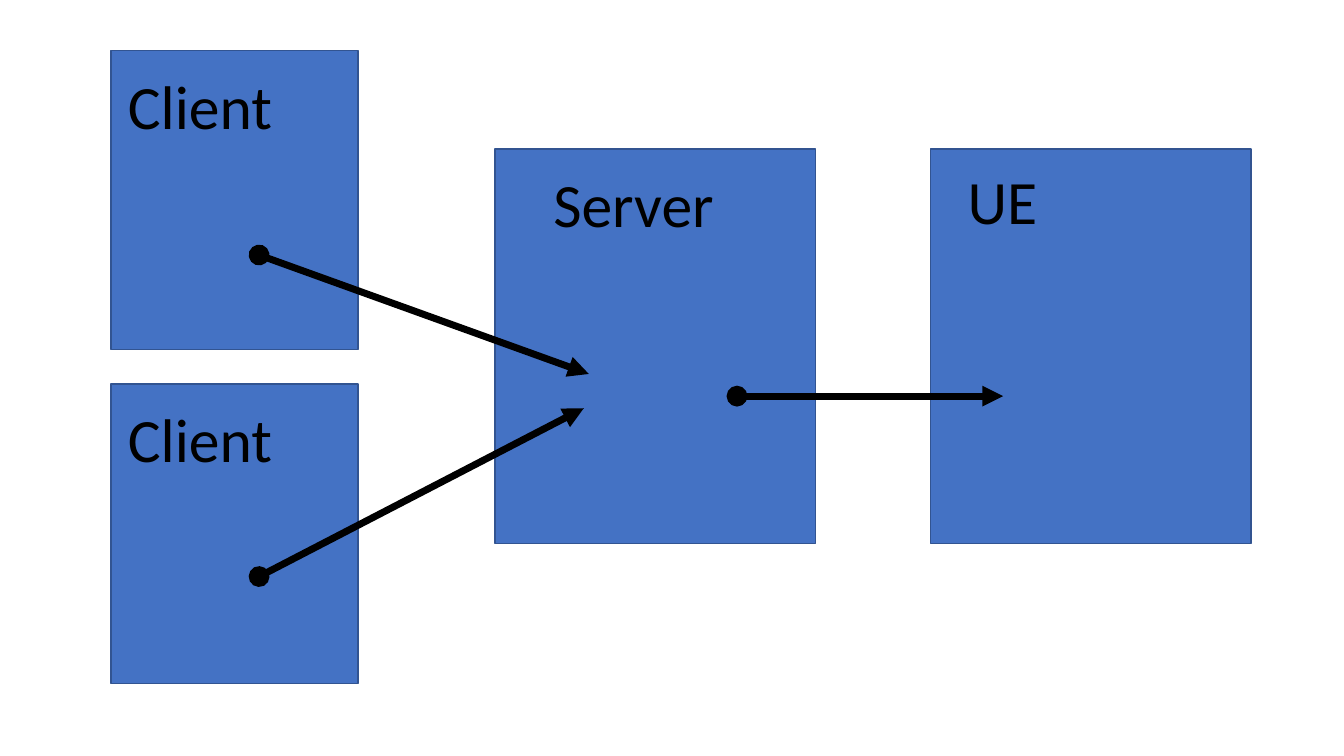
from lxml import etree
from pptx import Presentation
from pptx import util as u
from pptx.dml.color import RGBColor
from pptx.enum import shapes, text
from pptx.oxml.ns import qn


def px(n):
    return u.Emu(n * 9144)


def rgb(value):
    return RGBColor.from_string(value)


class Diagram:
    """Draws boxes, labels and arrows in one style on the current slide."""

    font, size = "Calibri", 44
    fill, edge, ink = "4472C4", "325491", "000000"

    def __init__(self, s):
        self.s = s

    def box(self, x, y, w, h):
        sp = self.s.shapes.add_shape(shapes.MSO_SHAPE.RECTANGLE, px(x), px(y), px(w), px(h))
        sp.shadow.inherit = False
        sp.fill.solid()
        sp.fill.fore_color.rgb = rgb(self.fill)
        sp.line.color.rgb = rgb(self.edge)
        sp.line.width = u.Pt(1)

    def label(self, x, y, words):
        sp = self.s.shapes.add_textbox(px(x), px(y), px(193), px(84))
        tf = sp.text_frame
        tf.word_wrap = True
        tf.auto_size = text.MSO_AUTO_SIZE.SHAPE_TO_FIT_TEXT
        r = tf.paragraphs[0].add_run()
        r.text = words
        r.font.name = self.font
        r.font.size = u.Pt(self.size)
        r.font.color.rgb = rgb(self.ink)

    def arrow(self, x1, y1, x2, y2):
        c = self.s.shapes.add_connector(
            shapes.MSO_CONNECTOR.STRAIGHT, px(x1), px(y1), px(x2), px(y2))
        c.line.color.rgb = rgb(self.ink)
        c.line.width = u.Pt(5)
        ln = c.line._get_or_add_ln()
        etree.SubElement(ln, qn("a:headEnd"), type="oval")
        etree.SubElement(ln, qn("a:tailEnd"), type="triangle")
        etree.SubElement(c._element.spPr, qn("a:effectLst"))


def main():
    prs = Presentation()
    prs.slide_width, prs.slide_height = px(1333), px(750)
    d = Diagram(prs.slides.add_slide(prs.slide_layouts[6]))

    client, node = (245, 297), (318, 391)
    parts = [
        ("Client", 110, 50, client, 7, 12),
        ("Client", 110, 381, client, 7, 12),
        ("Server", 491, 148, node, 48, 12),
        ("UE", 923, 148, node, 27, 9),
    ]
    for name, x, y, size, dx, dy in parts:
        d.box(x, y, *size)
        d.label(x + dx, y + dy, name)

    for ends in [(257, 253, 584, 371), (257, 572, 579, 405), (731, 393, 995, 393)]:
        d.arrow(*ends)

    prs.save("out.pptx")


if __name__ == "__main__":
    main()
